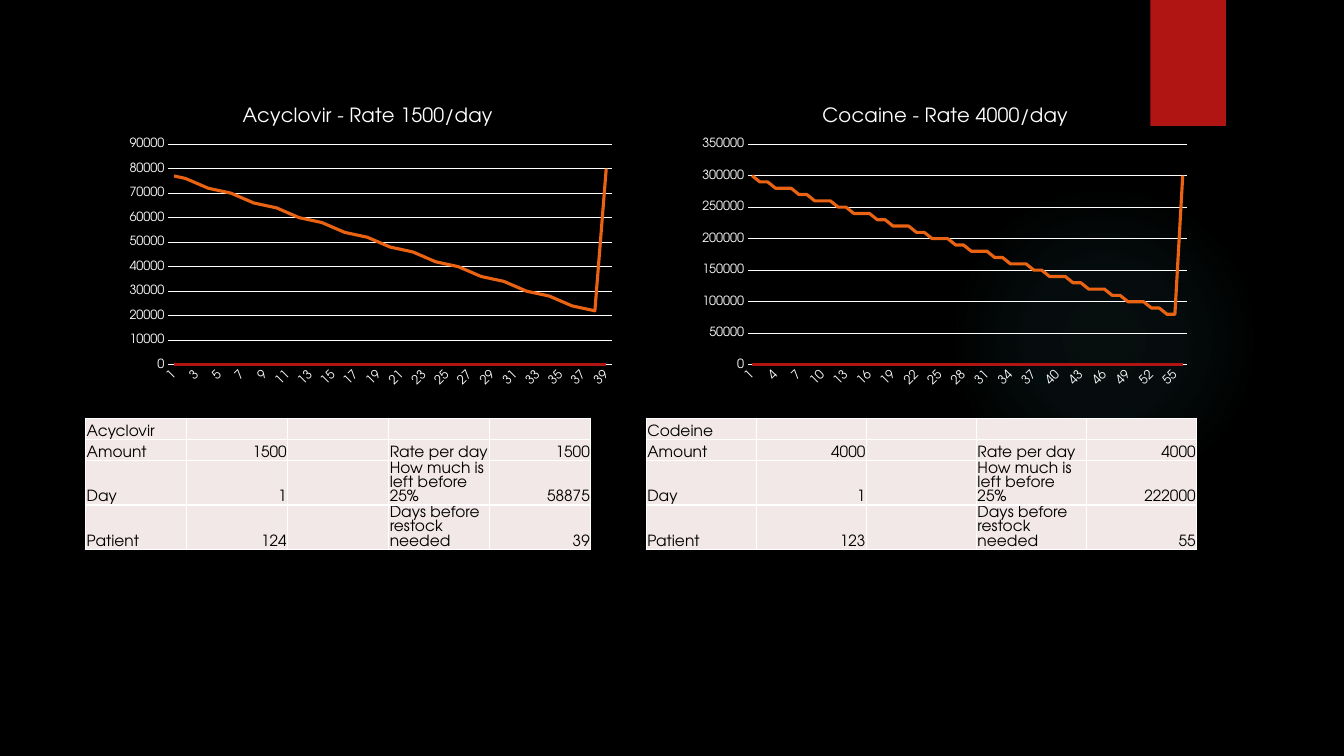
from lxml import etree
from pptx import Presentation
from pptx.chart.data import CategoryChartData
from pptx.dml.color import RGBColor
from pptx.enum.chart import XL_CHART_TYPE, XL_TICK_MARK
from pptx.enum.shapes import MSO_SHAPE
from pptx.enum.text import MSO_ANCHOR, PP_ALIGN
from pptx.oxml import parse_xml
from pptx.oxml.ns import nsdecls, qn
from pptx.util import Inches, Pt

LINE = XL_CHART_TYPE.LINE
NO_TICK = XL_TICK_MARK.NONE
OVAL, RECTANGLE = MSO_SHAPE.OVAL, MSO_SHAPE.RECTANGLE
BOTTOM = MSO_ANCHOR.BOTTOM
LEFT, RIGHT = PP_ALIGN.LEFT, PP_ALIGN.RIGHT

BLACK = RGBColor(0x00, 0x00, 0x00)
WHITE = RGBColor(0xFF, 0xFF, 0xFF)
RED = RGBColor(0xB0, 0x15, 0x13)
ORANGE = RGBColor(0xEA, 0x63, 0x12)
YELLOW = RGBColor(0xE6, 0xB7, 0x29)
GREEN = RGBColor(0x6A, 0xAC, 0x90)
BLUE = RGBColor(0x54, 0x84, 0x9A)
TEAL = RGBColor(0x50, 0xB9, 0xC1)
PINK = RGBColor(0xF2, 0xE8, 0xE7)
SERIES_COLORS = (RED, ORANGE, YELLOW, GREEN, BLUE)

FONT = "TeX Gyre Adventor"
ROW_HEIGHT = 0.21

DRUGS = [
    {
        "title": "Acyclovir - Rate 1500/day",
        "title_share": (0.24, 0.04),
        "chart_box": (1.17, 0.89, 5, 3),
        "plot_share": (0.1, 0.18, 0.88, 0.73),
        "axis": (90000, 10000),
        "stock": [round(left, -3) for left in (*range(77000, 21000, -1500), 80000)],
        "first_points": (None, 21000, 0),
        "table_box": (0.85, 4.15, 5.01),
        "rows": [
            ("Acyclovir", "", "", "", ""),
            ("Amount", "1500", "", "Rate per day", "1500"),
            ("Day", "1", "", "How much is left before 25%", "58875"),
            ("Patient", "124", "", "Days before restock needed", "39"),
        ],
    },
    {
        "title": "Cocaine - Rate 4000/day",
        "title_share": (0.25, 0.04),
        "chart_box": (6.87, 0.89, 5, 3),
        "plot_share": (0.11, 0.18, 0.87, 0.73),
        "axis": (350000, 50000),
        "stock": [round(left, -4) for left in (*range(296000, 79000, -4000), 300000)],
        "first_points": (),
        "table_box": (6.41, 4.15, 5.46),
        "rows": [
            ("Codeine", "", "", "", ""),
            ("Amount", "4000", "", "Rate per day", "4000"),
            ("Day", "1", "", "How much is left before 25%", "222000"),
            ("Patient", "123", "", "Days before restock needed", "55"),
        ],
    },
]


def style_font(font, size, color):
    """Give a font the slide's typeface, a size and a colour."""
    font.name = FONT
    font.size = Pt(size)
    font.bold = False
    font.color.rgb = color


def set_layout(parent, index, shares, target=""):
    """Place a chart part by shares of the chart's box."""
    for old in parent.findall(qn("c:layout")):
        parent.remove(old)
    modes = '<c:xMode val="edge"/><c:yMode val="edge"/>'
    values = "".join(f'<c:{key} val="{share}"/>' for key, share in zip("xywh", shares))
    parent.insert(index, parse_xml(
        f'<c:layout {nsdecls("c")}><c:manualLayout>{target}{modes}{values}'
        '</c:manualLayout></c:layout>'))


def add_backdrop(slide, height):
    """Paint the black ground, the faint glow and the red tab."""
    slide.background.fill.solid()
    slide.background.fill.fore_color.rgb = BLACK

    glow = slide.shapes.add_shape(
        OVAL, Inches(9.41), Inches(1.83), Inches(3.08), Inches(3.08))
    glow.shadow.inherit = False
    glow.line.fill.background()
    stops = "".join(
        f'<a:gs pos="{place * 1000}"><a:srgbClr val="{TEAL}">'
        f'<a:alpha val="{alpha * 1000}"/></a:srgbClr></a:gs>'
        for place, alpha in ((0, 7), (36, 6), (69, 0)))
    gradient = parse_xml(
        f'<a:gradFill {nsdecls("a")}><a:gsLst>{stops}</a:gsLst><a:path path="circle">'
        '<a:fillToRect l="50000" t="50000" r="50000" b="50000"/></a:path></a:gradFill>')
    glow._element.spPr.find(qn("a:prstGeom")).addnext(gradient)

    tab = slide.shapes.add_shape(
        RECTANGLE, Inches(11.41), 0, Inches(0.75), int(height / 6))
    tab.shadow.inherit = False
    tab.fill.solid()
    tab.fill.fore_color.rgb = RED
    tab.line.fill.background()


def add_stock_chart(slide, drug):
    """Draw the falling stock of one drug in its chart box."""
    stock = drug["stock"]
    chart_data = CategoryChartData()
    chart_data.categories = [str(day + 1) for day in range(len(stock))]
    columns = [[0] * len(stock), stock]
    columns += [[first] + [None] * (len(stock) - 1) for first in drug["first_points"]]
    for number, values in enumerate(columns, 1):
        chart_data.add_series(f"Series {number}", values)

    box = [Inches(length) for length in drug["chart_box"]]
    chart = slide.shapes.add_chart(LINE, *box, chart_data).chart
    style_font(chart.font, 10, WHITE)
    chart.has_legend = False
    chart.has_title = True
    heading = chart.chart_title.text_frame.paragraphs[0]
    heading.text = drug["title"]
    style_font(heading.font, 14, WHITE)
    chart.chart_title.include_in_layout = False
    set_layout(chart.chart_title._element, 1, drug["title_share"])
    set_layout(chart._chartSpace.chart.plotArea, 0, drug["plot_share"],
               '<c:layoutTarget val="inner"/>')

    chart.plots[0].vary_by_categories = False
    for series, color in zip(chart.plots[0].series, SERIES_COLORS):
        series.smooth = False
        series.format.line.color.rgb = color
        series.format.line.width = Pt(2.25)

    days, amounts = chart.category_axis, chart.value_axis
    for axis in (days, amounts):
        axis.major_tick_mark = axis.minor_tick_mark = NO_TICK
        style_font(axis.tick_labels.font, 9, WHITE)
    days._element.txPr.find(qn("a:bodyPr")).set("rot", "-60000000")
    amounts.minimum_scale = 0
    amounts.maximum_scale, amounts.major_unit = drug["axis"]
    amounts.has_major_gridlines = True
    amounts.format.line.fill.background()
    for line in (days.format.line, amounts.major_gridlines.format.line):
        line.color.rgb = WHITE
        line.width = Pt(0.75)


def add_borders(cell):
    """Edge a filled cell with white lines."""
    properties = cell._tc.get_or_add_tcPr()
    for index, side in enumerate(("lnL", "lnR", "lnT", "lnB")):
        border = etree.Element(qn(f"a:{side}"), w=str(Pt(1)))
        fill = etree.SubElement(border, qn("a:solidFill"))
        etree.SubElement(fill, qn("a:srgbClr"), val=str(WHITE))
        properties.insert(index, border)


def add_stock_table(slide, drug):
    """Set out the figures of one drug in five equal columns."""
    rows = drug["rows"]
    left, top, width = (Inches(length) for length in drug["table_box"])
    table = slide.shapes.add_table(
        len(rows), len(rows[0]), left, top, width, Inches(ROW_HEIGHT * len(rows))).table
    table.first_row = table.horz_banding = False
    for row_index, row in enumerate(rows):
        for column_index, wording in enumerate(row):
            cell = table.cell(row_index, column_index)
            cell.margin_left = cell.margin_right = cell.margin_top = Inches(0.01)
            cell.margin_bottom = 0
            cell.vertical_anchor = BOTTOM
            cell.fill.solid()
            cell.fill.fore_color.rgb = PINK
            add_borders(cell)
            cell.text = wording
            paragraph = cell.text_frame.paragraphs[0]
            paragraph.alignment = RIGHT if wording.isdigit() else LEFT
            style_font(paragraph.font, 11, BLACK)


def main():
    """Build and save the slide."""
    deck = Presentation()
    deck.slide_width, deck.slide_height = Inches(13.33), Inches(7.5)
    slide = deck.slides.add_slide(deck.slide_layouts[6])
    add_backdrop(slide, deck.slide_height)
    for drug in DRUGS:
        add_stock_chart(slide, drug)
        add_stock_table(slide, drug)
    deck.save("out.pptx")


if __name__ == "__main__":
    main()
